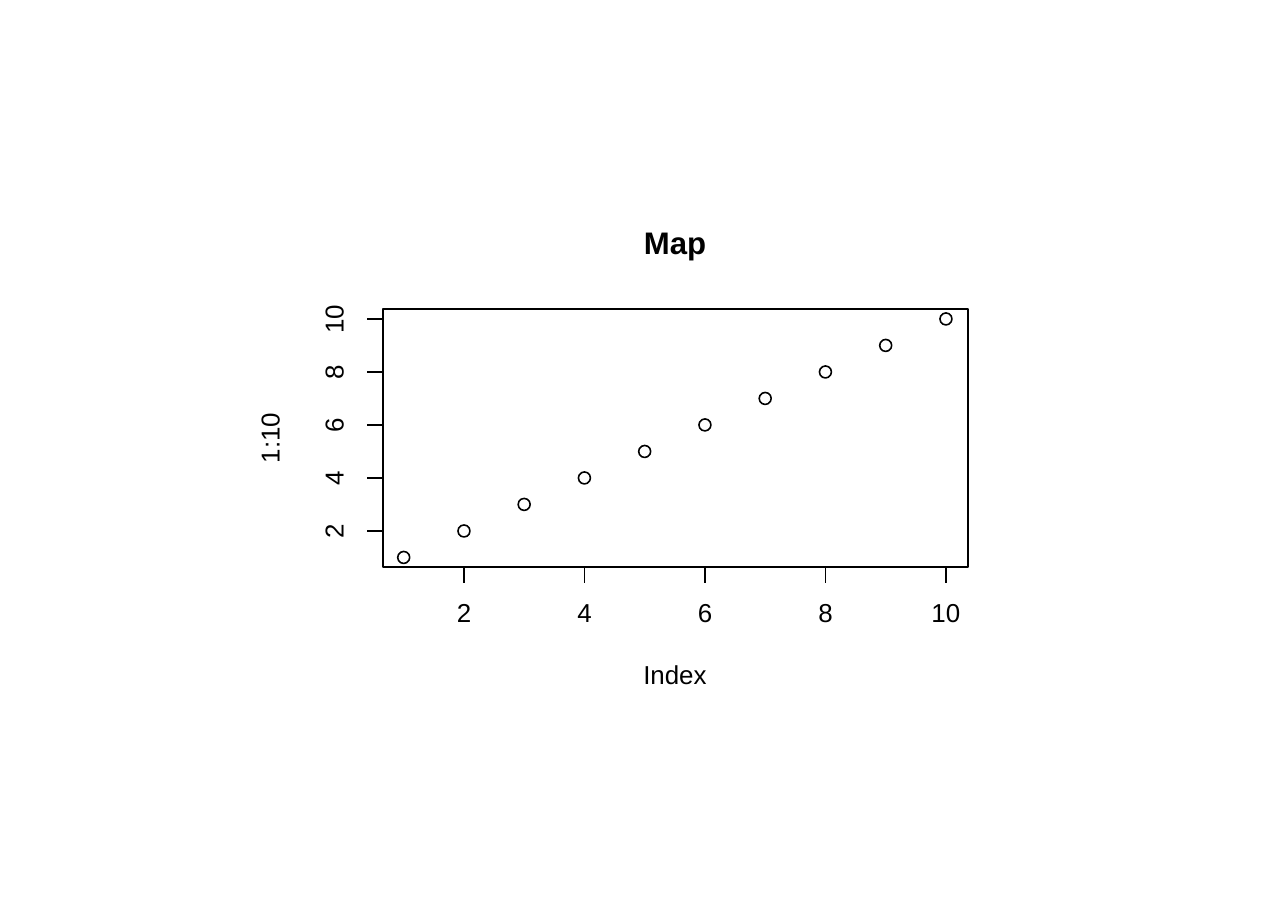
import pptx
import pptx.util
import pptx.dml.color
import pptx.enum.shapes
import pptx.enum.text
import pptx.oxml.ns
from dataclasses import dataclass
from lxml import etree


@dataclass(frozen=True)
class Theme:
    font: str = "Arial"
    ink: str = "000000"
    paper: str = "FFFFFF"
    title_size: float = 14.4
    label_size: float = 12
    line_width: float = 0.75


THEME = Theme()
SCALE = 914400 / 155.7
SLIDE = (1288, 908)

PANEL = (255, 181, 779, 545)
POINTS = [(i, i) for i in range(1, 11)]
TICKS = [2, 4, 6, 8, 10]
X_ENDS = (464, 946)
Y_ENDS = (531, 319)
LEFT, TOP, RIGHT, BOTTOM = 383, 309, 968, 567
TICK, MARKER = 16, 12
X_LABELS, Y_LABELS = 615, 336
DIGIT_WIDTH, TEXT_HEIGHT = 16, 19
TITLES = [
    ("Map", 675, 245, 68, 22, 0, THEME.title_size, True),
    ("Index", 675, 677, 68, TEXT_HEIGHT, 0, THEME.label_size, False),
    ("1:10", 272, 438, 56, TEXT_HEIGHT, 270, THEME.label_size, False),
]


def px(n):
    return round(n * SCALE)


def place(value, ends):
    first, last = ends
    share = (value - TICKS[0]) / (TICKS[-1] - TICKS[0])
    return first + share * (last - first)


def color(rgb):
    return pptx.dml.color.RGBColor.from_string(rgb)


def style_line(line, rgb=THEME.ink):
    line.color.rgb = color(rgb)
    line.width = pptx.util.Pt(THEME.line_width)


def add_outline(s, kind, x, y, w, h, rgb=THEME.ink):
    sp = s.shapes.add_shape(kind, px(x), px(y), px(w), px(h))
    sp.shadow.inherit = False
    sp.fill.background()
    style_line(sp.line, rgb)
    return sp


def add_line(s, x1, y1, x2, y2):
    cn = s.shapes.add_connector(
        pptx.enum.shapes.MSO_CONNECTOR.STRAIGHT, px(x1), px(y1), px(x2), px(y2))
    style_line(cn.line)
    etree.SubElement(cn._element.spPr, pptx.oxml.ns.qn("a:effectLst"))


def add_text(s, text, cx, cy, w, h, rotation, size, bold):
    sp = s.shapes.add_textbox(px(cx - w / 2), px(cy - h / 2), px(w), px(h))
    sp.rotation = rotation
    tf = sp.text_frame
    tf.margin_left = tf.margin_right = tf.margin_top = tf.margin_bottom = 0
    tf.word_wrap = False
    tf.vertical_anchor = pptx.enum.text.MSO_ANCHOR.MIDDLE
    tf.text = text
    p = tf.paragraphs[0]
    p.alignment = pptx.enum.text.PP_ALIGN.CENTER
    p.line_spacing = pptx.util.Pt(size)
    r = p.runs[0]
    r.font.name = THEME.font
    r.font.size = pptx.util.Pt(size)
    r.font.bold = bold
    r.font.color.rgb = color(THEME.ink)


def add_tick_label(s, value, cx, cy, rotation):
    text = str(value)
    add_text(s, text, cx, cy, DIGIT_WIDTH * len(text), TEXT_HEIGHT,
             rotation, THEME.label_size, False)


def main():
    prs = pptx.Presentation()
    prs.slide_width, prs.slide_height = px(SLIDE[0]), px(SLIDE[1])
    s = prs.slides.add_slide(prs.slide_layouts[6])
    shapes = pptx.enum.shapes.MSO_SHAPE

    panel = add_outline(s, shapes.RECTANGLE, *PANEL, THEME.paper)
    panel.fill.solid()
    panel.fill.fore_color.rgb = color(THEME.paper)

    for vx, vy in POINTS:
        add_outline(s, shapes.OVAL, place(vx, X_ENDS) - MARKER / 2,
                    place(vy, Y_ENDS) - MARKER / 2, MARKER, MARKER)

    add_line(s, X_ENDS[0], BOTTOM, X_ENDS[1], BOTTOM)
    add_line(s, LEFT, Y_ENDS[0], LEFT, Y_ENDS[1])
    for value in TICKS:
        x, y = place(value, X_ENDS), place(value, Y_ENDS)
        add_line(s, x, BOTTOM, x, BOTTOM + TICK)
        add_tick_label(s, value, x, X_LABELS, 0)
        add_line(s, LEFT, y, LEFT - TICK, y)
        add_tick_label(s, value, Y_LABELS, y, 270)

    add_outline(s, shapes.RECTANGLE, LEFT, TOP, RIGHT - LEFT, BOTTOM - TOP)
    for title in TITLES:
        add_text(s, *title)

    prs.save("out.pptx")


if __name__ == "__main__":
    main()
